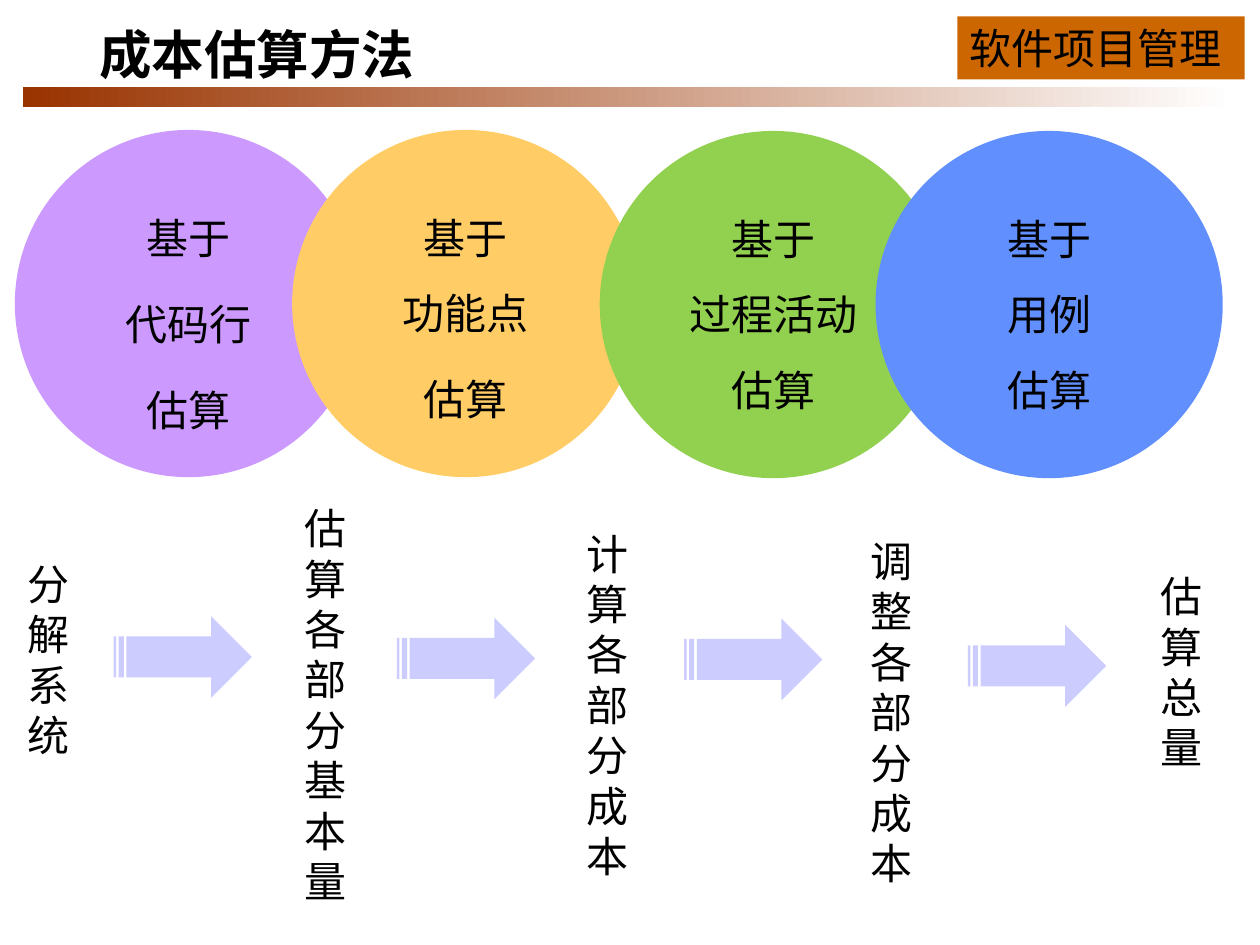
"""Build the slide on cost estimation methods."""
import pptx
import pptx.dml.color
import pptx.enum.shapes
import pptx.enum.text
import pptx.oxml
import pptx.oxml.ns
import pptx.util
from pptx.util import Cm

SHAPE = pptx.enum.shapes.MSO_SHAPE
ALIGN = pptx.enum.text.PP_ALIGN
ANCHOR = pptx.enum.text.MSO_ANCHOR
FONT = "Noto Sans CJK SC"


def rgb(value):
    return pptx.dml.color.RGBColor.from_string(value)


def write(sp, lines, font=FONT, size=24, bold=False, align=ALIGN.LEFT,
          spacing=None, anchor=ANCHOR.TOP, before=()):
    tf = sp.text_frame
    tf.word_wrap = True
    tf.vertical_anchor = anchor
    tf.text = "\n".join(lines)
    for i, p in enumerate(tf.paragraphs):
        p.alignment = align
        p.line_spacing = spacing
        p.space_before = pptx.util.Pt(6 if i in before else 0)
        p.font.name = font
        p.font.size = pptx.util.Pt(size)
        p.font.bold = bold
        p.font.color.rgb = rgb("000000")
        ea = pptx.oxml.parse_xml(
            f'<a:ea {pptx.oxml.ns.nsdecls("a")} typeface="{FONT}"/>')
        p._p.pPr.find(pptx.oxml.ns.qn("a:defRPr")).append(ea)


prs = pptx.Presentation()
prs.slide_width, prs.slide_height = Cm(25.4), Cm(19.05)
s = prs.slides.add_slide(prs.slide_layouts[5])

bar = s.shapes.add_shape(SHAPE.RECTANGLE, Cm(0.46), Cm(1.75), Cm(24.41), Cm(0.41))
bar.shadow.inherit = False
bar.line.fill.background()
bar.fill.gradient()
bar.fill.gradient_angle = 0
for stop, color in zip(bar.fill.gradient_stops, ("993300", "FFFFFF")):
    stop.color.rgb = rgb(color)

tag = s.shapes.add_shape(SHAPE.RECTANGLE, Cm(19.3), Cm(0.33), Cm(5.79), Cm(1.27))
tag.shadow.inherit = False
tag.line.fill.background()
tag.fill.solid()
tag.fill.fore_color.rgb = rgb("CC6600")
write(tag, ["软件项目管理"], font="Noto Sans CJK JP", spacing=pptx.util.Pt(28.8))

title = s.shapes.title
title.left, title.top, title.width, title.height = Cm(1.75), Cm(0), Cm(16.33), Cm(2.34)
write(title, ["成本估算方法"], font="Arial", size=30, bold=True, spacing=0.85,
      anchor=ANCHOR.MIDDLE)

circles = [
    (0.3, 2.62, "CC99FF", "代码行", (1, 2)),
    (5.89, 2.62, "FFCC66", "功能点", (2,)),
    (12.09, 2.64, "92D050", "过程活动", ()),
    (17.65, 2.64, "618FFD", "用例", ()),
]
for x, y, color, basis, before in circles:
    sp = s.shapes.add_shape(SHAPE.OVAL, Cm(x), Cm(y), Cm(7), Cm(7))
    sp.shadow.inherit = False
    sp.line.fill.background()
    sp.fill.solid()
    sp.fill.fore_color.rgb = rgb(color)
    write(sp, ["基于", basis, "估算"], align=ALIGN.CENTER,
          spacing=pptx.util.Pt(43.2), before=before)

steps = [
    (0.3, 11.13, 1.6, "分解系统"),
    (5.89, 10.01, 1.5, "估算各部分基本量"),
    (11.58, 10.52, 1.4, "计算各部分成本"),
    (17.3, 10.67, 1.8, "调整各部分成本"),
    (23.14, 11.38, 1.6, "估算总量"),
]
for x, y, width, label in steps:
    sp = s.shapes.add_textbox(Cm(x), Cm(y), Cm(width), Cm(0.25 + 1.02 * len(label)))
    write(sp, [label], spacing=pptx.util.Pt(28.8))

for x, y in ((2.29, 12.42), (8, 12.45), (13.79, 12.47), (19.51, 12.6)):
    sp = s.shapes.add_shape(SHAPE.STRIPED_RIGHT_ARROW, Cm(x), Cm(y), Cm(2.79), Cm(1.65))
    sp.shadow.inherit = False
    sp.line.fill.background()
    sp.fill.solid()
    sp.fill.fore_color.rgb = rgb("CCCCFF")

prs.save("out.pptx")
